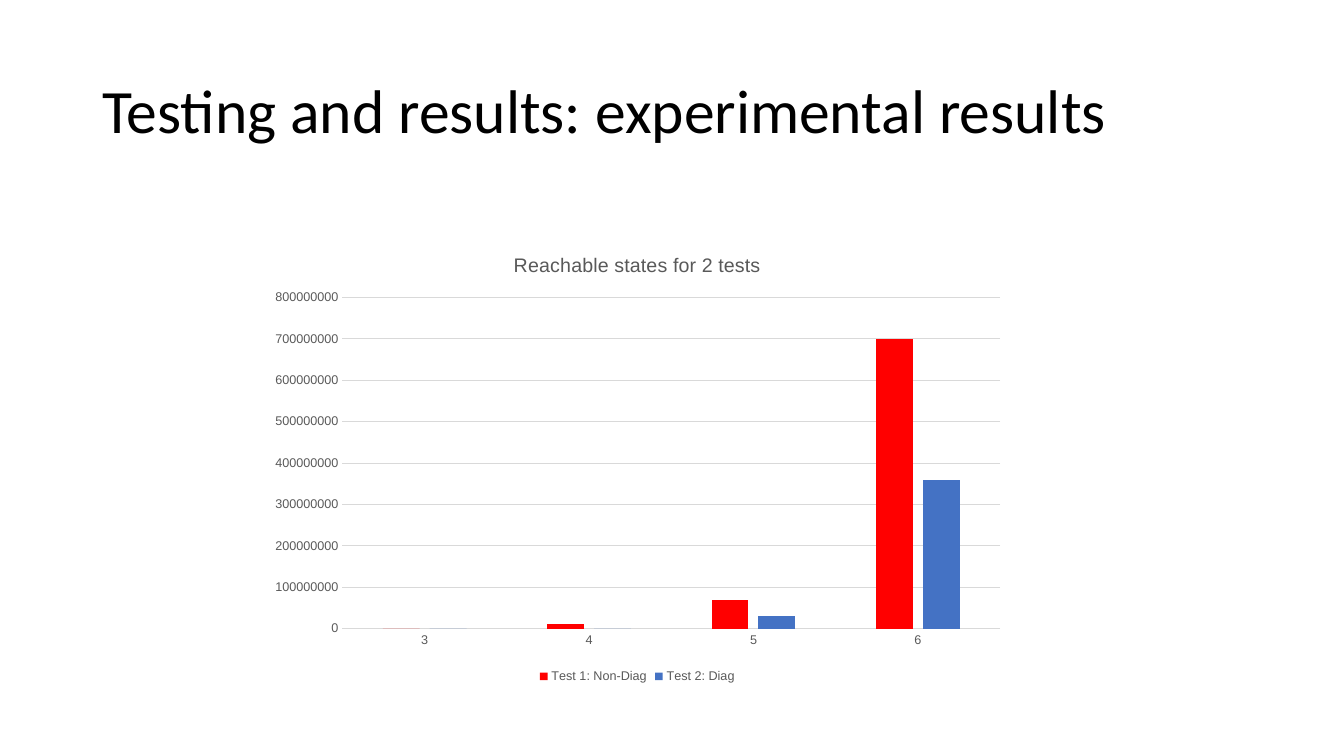
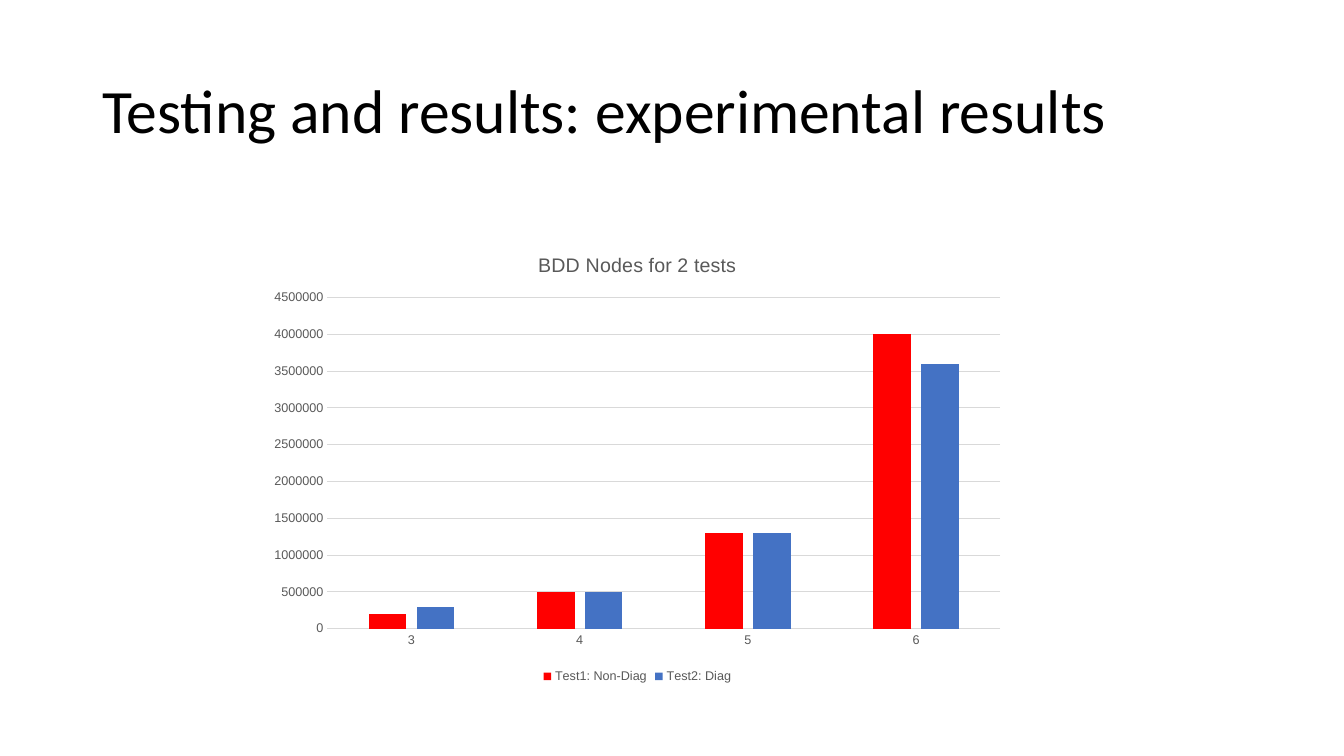
"""Build two slides that chart experimental results for two tests."""
from dataclasses import dataclass

from lxml.etree import SubElement
from pptx import Presentation
from pptx.chart.data import CategoryChartData
from pptx.dml.color import RGBColor
from pptx.enum.chart import XL_CHART_TYPE, XL_LEGEND_POSITION, XL_TICK_MARK
from pptx.enum.text import MSO_ANCHOR
from pptx.oxml.ns import qn
from pptx.util import Pt

PX = 9525


@dataclass(frozen=True)
class Theme:
    ink: RGBColor = RGBColor.from_string("000000")
    muted: RGBColor = RGBColor.from_string("595959")
    grid: RGBColor = RGBColor.from_string("D9D9D9")
    series: tuple = (RGBColor.from_string("FF0000"), RGBColor.from_string("4472C4"))
    title_font: str = "Calibri"
    chart_font: str = "Arial"
    title_size: int = 44
    chart_title_size: int = 14
    label_size: int = 9


theme = Theme()


def write(tf, text, *, size, color, font, spacing=None):
    p = tf.paragraphs[0]
    p.line_spacing = spacing
    r = p.add_run()
    r.text = text
    r.font.size = Pt(size)
    r.font.bold = False
    r.font.name = font
    r.font.color.rgb = color


def place_plot(area, **values):
    for old in area.findall(qn("c:layout")):
        area.remove(old)
    layout = SubElement(area, qn("c:layout"))
    area.insert(0, layout)
    manual = SubElement(layout, qn("c:manualLayout"))
    for name, value in values.items():
        SubElement(manual, qn(f"c:{name}")).set("val", str(value))


TITLE = "Testing and results: experimental results"
CATEGORIES = ("3", "4", "5", "6")
CHARTS = [
    {
        "title": "Reachable states for 2 tests",
        "plot_x": 0.11,
        "top": 800000000,
        "step": 100000000,
        "series": {
            "Test 1: Non-Diag": (0, 10000000, 70000000, 700000000),
            "Test 2: Diag": (0, 0, 30000000, 360000000),
        },
    },
    {
        "title": "BDD Nodes for 2 tests",
        "plot_x": 0.09,
        "top": 4500000,
        "step": 500000,
        "series": {
            "Test1: Non-Diag": (200000, 500000, 1300000, 4000000),
            "Test2: Diag": (300000, 500000, 1300000, 3600000),
        },
    },
]

prs = Presentation()
prs.slide_width, prs.slide_height = 1280 * PX, 720 * PX

for info in CHARTS:
    s = prs.slides.add_slide(prs.slide_layouts[6])
    tf = s.shapes.add_textbox(88 * PX, 39 * PX, 1104 * PX, 139 * PX).text_frame
    tf.word_wrap = True
    tf.vertical_anchor = MSO_ANCHOR.MIDDLE
    write(tf, TITLE, size=theme.title_size, color=theme.ink,
          font=theme.title_font, spacing=0.9)

    data = CategoryChartData(number_format="General")
    data.categories = CATEGORIES
    for name, values in info["series"].items():
        data.add_series(name, values)
    chart = s.shapes.add_chart(XL_CHART_TYPE.COLUMN_CLUSTERED, 247 * PX, 223 * PX,
                               720 * PX, 432 * PX, data).chart
    chart.font.name = theme.chart_font
    chart.font.size = Pt(theme.label_size)
    chart.font.color.rgb = theme.muted

    write(chart.chart_title.text_frame, info["title"], size=theme.chart_title_size,
          color=theme.muted, font=theme.chart_font)
    chart.chart_title.include_in_layout = False
    place_plot(chart.element.find(".//" + qn("c:plotArea")),
               layoutTarget="inner", xMode="edge", yMode="edge", x=info["plot_x"],
               y=0.14, w=round(0.98 - info["plot_x"], 2), h=0.73)

    chart.has_legend = True
    chart.legend.position = XL_LEGEND_POSITION.BOTTOM
    chart.legend.include_in_layout = False

    for axis in (chart.category_axis, chart.value_axis):
        axis.major_tick_mark = axis.minor_tick_mark = XL_TICK_MARK.NONE
    axis.minimum_scale, axis.maximum_scale = 0, info["top"]
    axis.major_unit = info["step"]
    axis.format.line.fill.background()
    for line in (chart.category_axis.format.line, axis.major_gridlines.format.line):
        line.color.rgb = theme.grid
        line.width = Pt(0.75)

    plot = chart.plots[0]
    plot.vary_by_categories = False
    plot.gap_width, plot.overlap = 219, -27
    for series, color in zip(plot.series, theme.series):
        series.format.fill.solid()
        series.format.fill.fore_color.rgb = color

prs.save("out.pptx")
